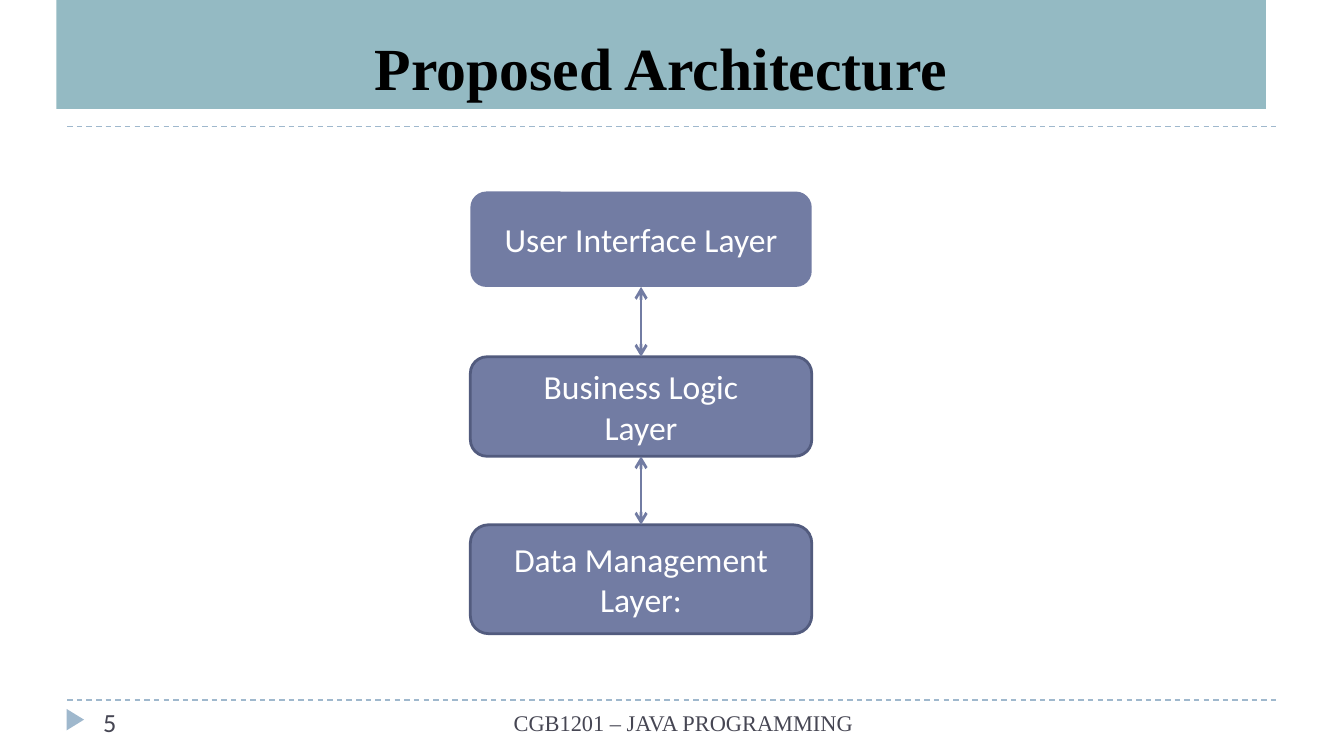
from lxml import etree
from pptx import Presentation
from pptx.dml.color import RGBColor
from pptx.enum.dml import MSO_LINE
from pptx.enum.shapes import MSO_CONNECTOR, MSO_SHAPE
from pptx.enum.text import MSO_ANCHOR, PP_ALIGN
from pptx.oxml.ns import qn
from pptx.util import Inches, Pt

STRAIGHT = MSO_CONNECTOR.STRAIGHT
RECTANGLE, TRIANGLE = MSO_SHAPE.RECTANGLE, MSO_SHAPE.ISOSCELES_TRIANGLE
ROUNDED, ALTERNATE = MSO_SHAPE.ROUNDED_RECTANGLE, MSO_SHAPE.FLOWCHART_ALTERNATE_PROCESS
LEFT, CENTER = PP_ALIGN.LEFT, PP_ALIGN.CENTER
TOP, MIDDLE, BOTTOM = MSO_ANCHOR.TOP, MSO_ANCHOR.MIDDLE, MSO_ANCHOR.BOTTOM
DASH = MSO_LINE.DASH

THEME = {
    "banner": RGBColor.from_string("94BAC3"),
    "rule": RGBColor.from_string("9FB8CD"),
    "layer": RGBColor.from_string("727CA3"),
    "border": RGBColor.from_string("525B7E"),
    "title": (32, "Times New Roman", RGBColor.from_string("000000"), True),
    "label": (18, "Calibri", RGBColor.from_string("FFFFFF"), False),
    "footer": (12, "Times New Roman", RGBColor.from_string("464653"), False),
    "number": (14, "Calibri", RGBColor.from_string("464653"), False),
}

presentation = Presentation()
presentation.slide_width = Inches(10)
presentation.slide_height = presentation.slide_width * 9 // 16
slide = presentation.slides.add_slide(presentation.slide_layouts[6])
COLUMN = presentation.slide_width / 100
ROW = presentation.slide_height / 56.25


def add_line(start, end, color, width):
    line = slide.shapes.add_connector(
        STRAIGHT,
        round(start[0] * COLUMN), round(start[1] * ROW),
        round(end[0] * COLUMN), round(end[1] * ROW),
    )
    line.line.color.rgb = color
    line.line.width = Pt(width)
    etree.SubElement(line._element.spPr, qn("a:effectLst"))
    return line


def add_text(shape, lines, style, alignment, anchor):
    size, font, color, bold = THEME[style]
    frame = shape.text_frame
    frame.word_wrap = True
    frame.vertical_anchor = anchor
    for index, text in enumerate(lines):
        paragraph = frame.paragraphs[0] if index == 0 else frame.add_paragraph()
        paragraph.alignment = alignment
        run = paragraph.add_run()
        run.text = text
        run.font.size = Pt(size)
        run.font.name = font
        run.font.color.rgb = color
        run.font.bold = bold


for rule_row in (52.1, 9.4):
    rule = add_line((5, rule_row), (95, rule_row), THEME["rule"], 0.75)
    rule.line.dash_style = DASH

blocks = [
    (TRIANGLE, 4.8, 52.9, 1.6, 1.3, "rule", None, [], "label", MIDDLE),
    (RECTANGLE, 4.2, 0, 90, 8.1, "banner", None, ["Proposed Architecture"], "title", BOTTOM),
    (ROUNDED, 35, 14.25, 25.4, 7.1, "layer", None, ["User Interface Layer"], "label", MIDDLE),
    (ALTERNATE, 35, 26.55, 25.4, 7.4, "layer", "border", ["Business Logic", "Layer"], "label", MIDDLE),
    (ALTERNATE, 35, 39.05, 25.4, 8.1, "layer", "border", ["Data Management Layer:"], "label", MIDDLE),
]
shapes = []
for kind, left, top, width, height, fill, border, lines, style, anchor in blocks:
    shape = slide.shapes.add_shape(
        kind, round(left * COLUMN), round(top * ROW), round(width * COLUMN), round(height * ROW)
    )
    shape.shadow.inherit = False
    shape.fill.solid()
    shape.fill.fore_color.rgb = THEME[fill]
    if border:
        shape.line.color.rgb = THEME[border]
        shape.line.width = Pt(1.5)
    else:
        shape.line.fill.background()
    add_text(shape, lines, style, CENTER, anchor)
    shapes.append(shape)

marker, banner, *layers = shapes
marker.rotation = 90

for left, top, width, height, text, style, alignment in (
    (28.8, 52.3, 44.1, 2.5, "CGB1201 – JAVA PROGRAMMING", "footer", CENTER),
    (6.7, 52.1, 21.7, 3, "5", "number", LEFT),
):
    box = slide.shapes.add_textbox(
        round(left * COLUMN), round(top * ROW), round(width * COLUMN), round(height * ROW)
    )
    add_text(box, [text], style, alignment, TOP)

for upper, lower in zip(layers, layers[1:]):
    arrow = add_line((0, 0), (0, 0), THEME["layer"], 1.5)
    arrow.begin_connect(upper, 2)
    arrow.end_connect(lower, 0)
    for end in ("a:headEnd", "a:tailEnd"):
        etree.SubElement(arrow.get_or_add_ln(), qn(end), type="arrow")

presentation.save("out.pptx")
